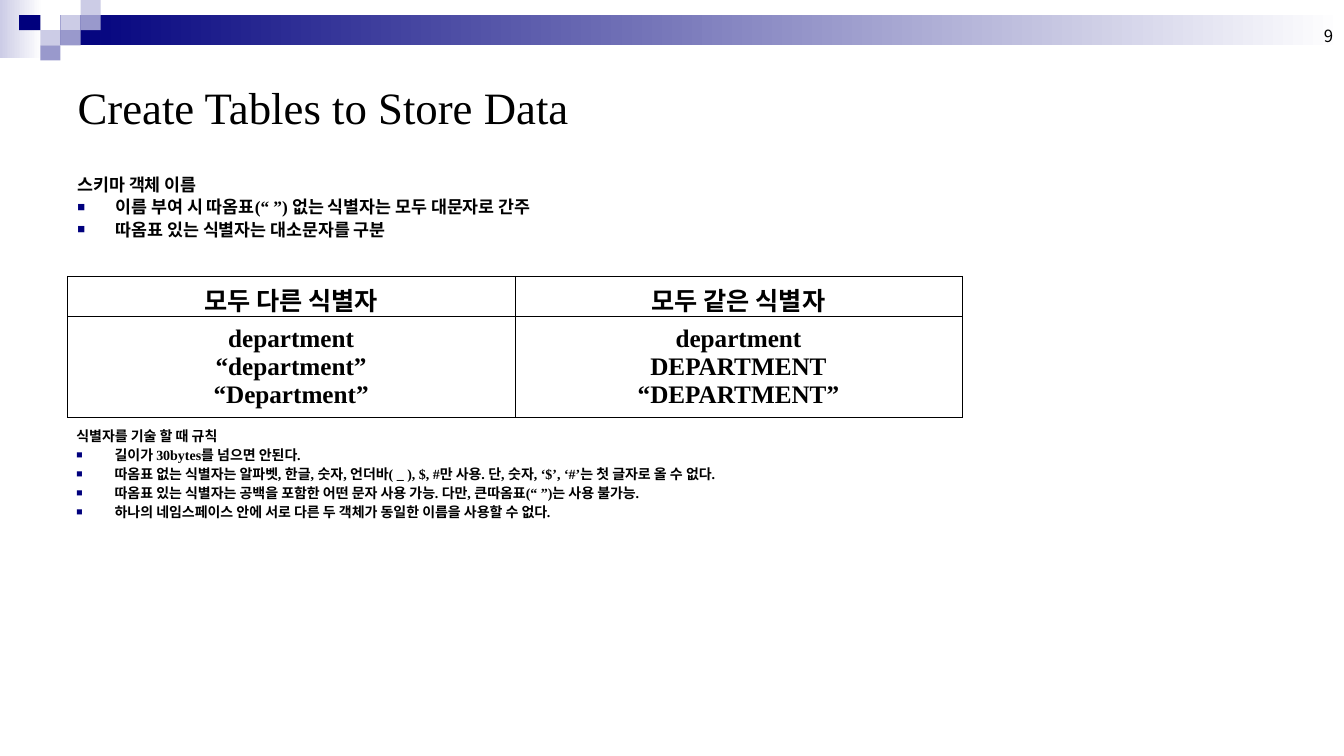
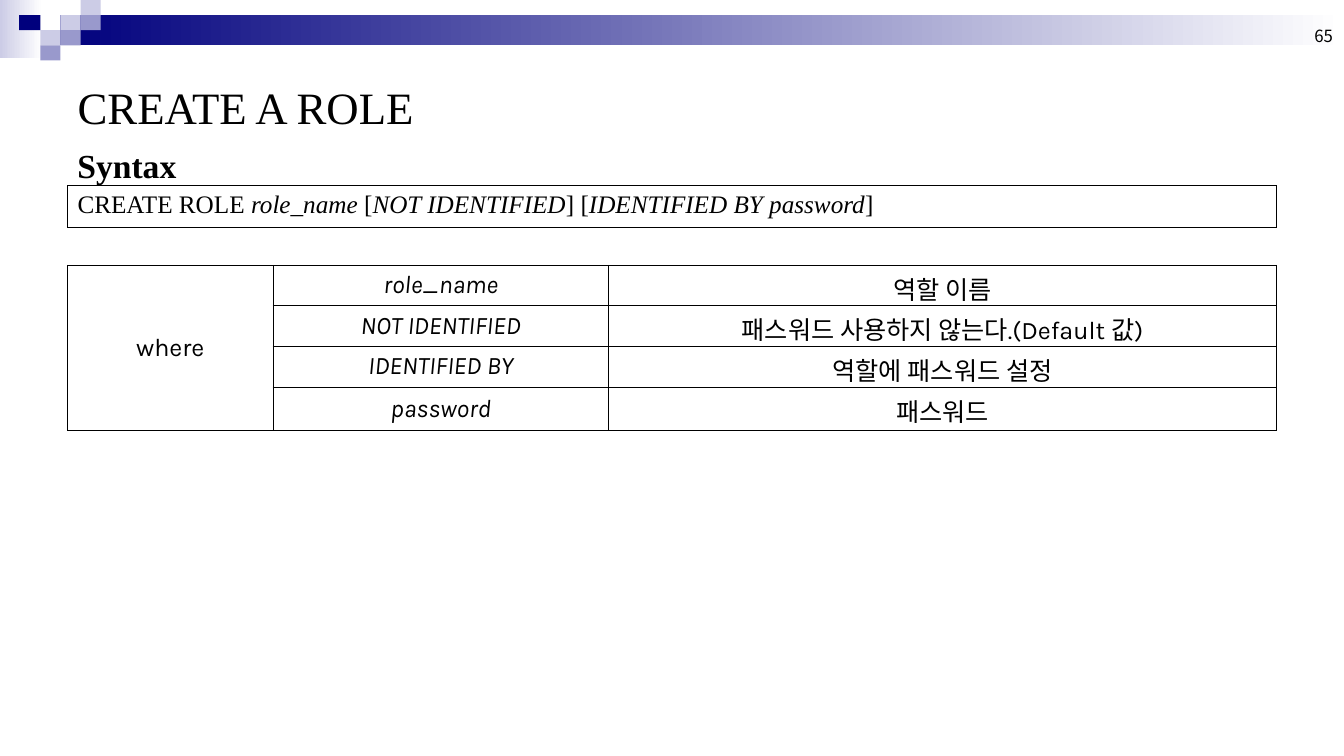
import lxml.etree
import pptx
import pptx.dml.color
import pptx.enum.shapes
import pptx.enum.text
import pptx.oxml.ns
import pptx.util

PX = 9144
BLACK, NAVY, LILAC, PALE, WHITE = "000000", "00007D", "9999CC", "CCCCE6", "FFFFFF"
SERIF, SANS, KOREAN = "Times New Roman", "Karla", "Noto Sans CJK KR"
ALIGN = pptx.enum.text.PP_ALIGN
ANCHOR = pptx.enum.text.MSO_ANCHOR
ITALIC = {"italic": True}

GRADIENTS = [
    ((0, 0, 42, 58), PALE),
    ((60, 15, 1273, 30), NAVY),
]
TILES = [
    ((60, 15, 20, 15), PALE),
    ((80, 0, 20, 15), PALE),
    ((80, 15, 20, 15), LILAC),
    ((40, 30, 20, 15), PALE),
    ((19, 15, 21, 15), NAVY),
    ((60, 30, 20, 15), LILAC),
    ((40, 45, 20, 15), LILAC),
]


def px(*lengths):
    return [pptx.util.Emu(length * PX) for length in lengths]


def color(code):
    return pptx.dml.color.RGBColor.from_string(code)


def apply(target, values):
    for name, value in values.items():
        setattr(target, name, value)


def add_xml(parent, tag, **attributes):
    return lxml.etree.SubElement(parent, pptx.oxml.ns.qn(tag), attributes)


def text_format(size, name=SERIF, **extra):
    return {"size": pptx.util.Pt(size), "name": name, **extra}


def write_runs(para, runs, font):
    if isinstance(runs, str):
        runs = [(runs, {})]
    for text, extra in runs:
        span = para.add_run()
        span.text = text
        apply(span.font, {**font, **extra})
        span.font.color.rgb = color(BLACK)
        add_xml(span._r.get_or_add_rPr(), "a:ea", typeface=KOREAN)


def write_paras(frame, lines, font, **layout):
    for index, runs in enumerate(lines):
        para = frame.add_paragraph() if index else frame.paragraphs[0]
        apply(para, layout)
        write_runs(para, runs, font)


def add_bullet(para):
    properties = para._p.get_or_add_pPr()
    indent = 38 * PX
    properties.set("marL", str(indent))
    properties.set("indent", str(-indent))
    add_xml(add_xml(properties, "a:buClr"), "a:srgbClr", val=NAVY)
    add_xml(properties, "a:buSzPct", val="75000")
    add_xml(properties, "a:buFont", typeface=SERIF)
    add_xml(properties, "a:buChar", char="■")


def add_text(page, place, lines, font, anchor=ANCHOR.TOP, **layout):
    frame = page.shapes.add_textbox(*px(*place)).text_frame
    apply(frame, {"word_wrap": True, "vertical_anchor": anchor})
    write_paras(frame, lines, font, **layout)
    return frame


def add_rules(page, place, heading, rules, size):
    frame = add_text(page, place, [heading, *rules], text_format(size, bold=True),
                     line_spacing=0.8)
    for para in frame.paragraphs[1:]:
        add_bullet(para)
        para.space_before = pptx.util.Pt(4)


def add_block(group, place):
    block = group.shapes.add_shape(pptx.enum.shapes.MSO_SHAPE.RECTANGLE, *px(*place))
    block.shadow.inherit = False
    block.line.fill.background()
    return block


def add_band(page):
    group = page.shapes.add_group_shape()
    for place, start in GRADIENTS:
        fill = add_block(group, place).fill
        fill.gradient()
        fill.gradient_angle = 0
        for stop, code, position in zip(fill.gradient_stops, (start, WHITE), (0, 1)):
            stop.color.rgb = color(code)
            stop.position = position
    for place, code in TILES:
        fill = add_block(group, place).fill
        fill.solid()
        fill.fore_color.rgb = color(code)


def add_page(deck, title, number):
    page = deck.slides.add_slide(deck.slide_layouts[5])
    add_band(page)
    add_text(page, (1022, 0, 311, 50), [number], text_format(12, KOREAN),
             ANCHOR.BOTTOM, alignment=ALIGN.RIGHT)
    box = page.shapes.title
    apply(box, dict(zip(("left", "top", "width", "height"), px(67, 50, 1200, 112))))
    apply(box.text_frame, {
        "word_wrap": True,
        "vertical_anchor": ANCHOR.MIDDLE,
        "auto_size": pptx.enum.text.MSO_AUTO_SIZE.NONE,
    })
    write_paras(box.text_frame, [title], text_format(32), alignment=ALIGN.LEFT)
    return page


def style_cell(cell, anchor):
    properties = cell._tc.get_or_add_tcPr()
    for side in ("a:lnL", "a:lnR", "a:lnT", "a:lnB"):
        line = add_xml(properties, side, w=str(pptx.util.Pt(0.45)))
        add_xml(add_xml(line, "a:solidFill"), "a:srgbClr", val=BLACK)
    cell.fill.background()
    cell.vertical_anchor = anchor


def add_grid(page, corner, widths, heights, rows, font,
             anchor=ANCHOR.MIDDLE, alignment=ALIGN.CENTER):
    place = (*corner, sum(widths), sum(heights))
    table = page.shapes.add_table(len(heights), len(widths), *px(*place)).table
    apply(table, {"first_row": False, "horz_banding": False})
    for column, width in zip(table.columns, px(*widths)):
        column.width = width
    for row, height, contents in zip(table.rows, px(*heights), rows):
        row.height = height
        for cell, lines in zip(row.cells, contents):
            style_cell(cell, anchor)
            write_paras(cell.text_frame, lines, font, alignment=alignment)
    return table


def build_names(deck):
    page = add_page(deck, "Create Tables to Store Data", "9")
    add_rules(page, (67, 172, 1025, 135), "스키마 객체 이름", [
        "이름 부여 시 따옴표(“ ”) 없는 식별자는 모두 대문자로 간주",
        "따옴표 있는 식별자는 대소문자를 구분",
    ], 12.4)
    add_grid(page, (67, 274), (444, 444), (40, 100), [
        (["모두 다른 식별자"], ["모두 같은 식별자"]),
        (["department", "“department”", "“Department”"],
         ["department", "DEPARTMENT", "“DEPARTMENT”"]),
    ], text_format(18, bold=True))
    add_rules(page, (66, 422, 1073, 135), "식별자를 기술 할 때 규칙", [
        "길이가 30bytes를 넘으면 안된다.",
        "따옴표 없는 식별자는 알파벳, 한글, 숫자, 언더바( _ ), $, #만 사용. "
        "단, 숫자, ‘$’, ‘#’는 첫 글자로 올 수 없다.",
        "따옴표 있는 식별자는 공백을 포함한 어떤 문자 사용 가능. "
        "다만, 큰따옴표(“ ”)는 사용 불가능.",
        "하나의 네임스페이스 안에 서로 다른 두 객체가 동일한 이름을 사용할 수 없다.",
    ], 10)


def build_role(deck):
    page = add_page(deck, "CREATE A ROLE", "65")
    add_text(page, (67, 139, 892, 55), ["Syntax"], text_format(24, bold=True))
    syntax = [
        ("CREATE ROLE ", {}), ("role_name", ITALIC), (" [", {}),
        ("NOT IDENTIFIED", ITALIC), ("] [", {}),
        ("IDENTIFIED BY password", ITALIC), ("]", {}),
    ]
    add_grid(page, (67, 184), (1200,), (41,), [([syntax],)], text_format(18),
             ANCHOR.TOP, ALIGN.LEFT)
    terms = [
        ("role_name", "역할 이름"),
        ("NOT IDENTIFIED", "패스워드 사용하지 않는다.(Default 값)"),
        ("IDENTIFIED BY", "역할에 패스워드 설정"),
        ("password", "패스워드"),
    ]
    rows = [([], [[(term, ITALIC)]], [meaning]) for term, meaning in terms]
    rows[0] = (["where"], *rows[0][1:])
    table = add_grid(page, (67, 263), (204, 333, 663), (40, 40, 41, 43), rows,
                     text_format(18, SANS))
    table.cell(0, 0).merge(table.cell(len(terms) - 1, 0))


def main():
    deck = pptx.Presentation()
    deck.slide_width, deck.slide_height = px(1334, 750)
    build_names(deck)
    build_role(deck)
    deck.save("out.pptx")


if __name__ == "__main__":
    main()
